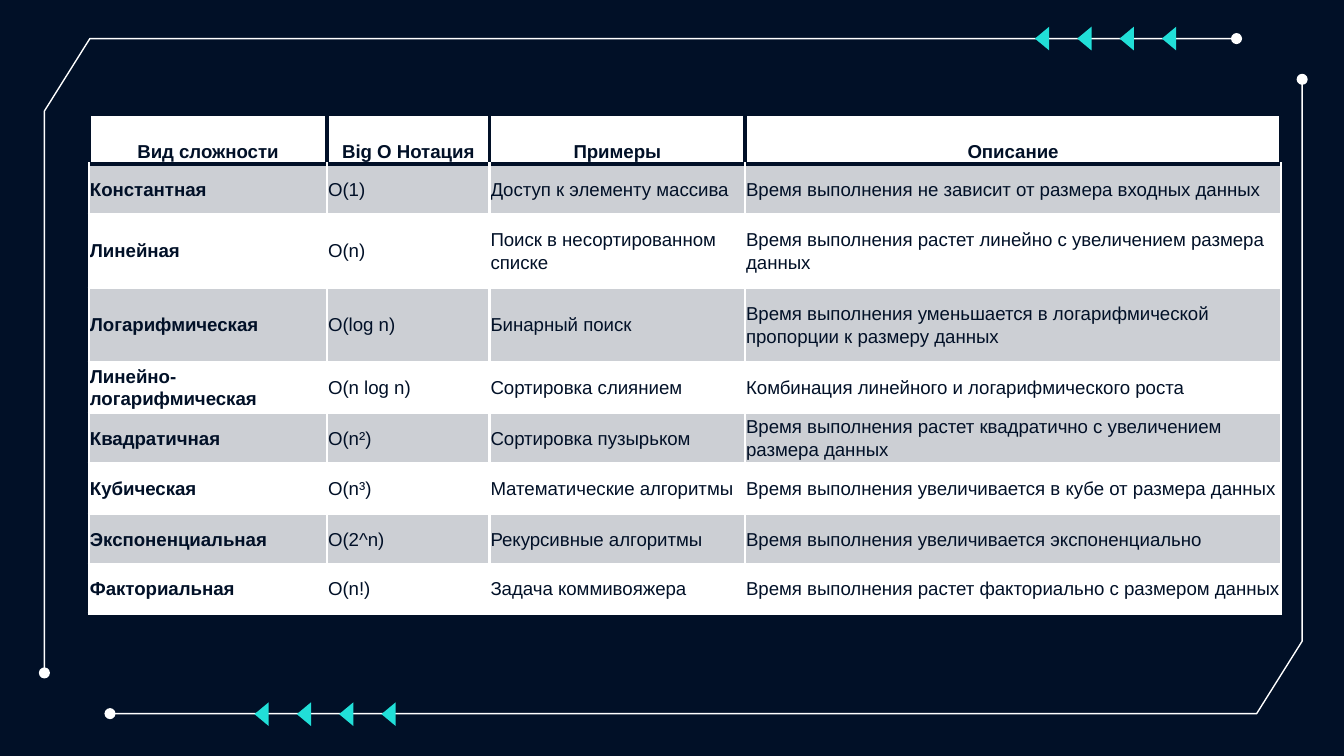
"""Builds a slide with a table of algorithm complexity classes."""
from lxml import etree
from pptx import Presentation
from pptx.dml.color import RGBColor
from pptx.enum.text import MSO_ANCHOR, PP_ALIGN
from pptx.oxml.ns import qn
from pptx.util import Cm, Pt

CENTER, LEFT = PP_ALIGN.CENTER, PP_ALIGN.LEFT
BOTTOM, MIDDLE = MSO_ANCHOR.BOTTOM, MSO_ANCHOR.MIDDLE

HEADER = ("Вид сложности", "Big O Нотация", "Примеры", "Описание")
ROWS = [
    ("Константная", "O(1)", "Доступ к элементу массива",
     "Время выполнения не зависит от размера входных данных"),
    ("Линейная", "O(n)", "Поиск в несортированном списке",
     "Время выполнения растет линейно с увеличением размера данных"),
    ("Логарифмическая", "O(log n)", "Бинарный поиск",
     "Время выполнения уменьшается в логарифмической пропорции к размеру данных"),
    ("Линейно-логарифмическая", "O(n log n)", "Сортировка слиянием",
     "Комбинация линейного и логарифмического роста"),
    ("Квадратичная", "O(n²)", "Сортировка пузырьком",
     "Время выполнения растет квадратично с увеличением размера данных"),
    ("Кубическая", "O(n³)", "Математические алгоритмы",
     "Время выполнения увеличивается в кубе от размера данных"),
    ("Экспоненциальная", "O(2^n)", "Рекурсивные алгоритмы",
     "Время выполнения увеличивается экспоненциально"),
    ("Факториальная", "O(n!)", "Задача коммивояжера",
     "Время выполнения растет факториально с размером данных"),
]

THEME = {"font": "Arial", "size": 10, "dark": "011027", "light": "FFFFFF",
         "band": "CCCFD4", "accent": "21DFD8", "frame": 0.75,
         "rule": 1.5, "header_rule": 2.25}

SLIDE_W, SLIDE_H = 25.4, 14.29
TABLE_LEFT, TABLE_TOP = 1.68, 2.16
COL_WIDTHS = (4.5, 3.07, 4.83, 10.13)
ROW_HEIGHTS = (0.94, 0.94, 1.4, 1.4, 0.97, 0.94, 0.97, 0.94, 0.94)
CELL_INSET = 0.02
FRAME = [(24.61, 1.5), (24.61, 12.12), (23.75, 13.49), (2.08, 13.49)]
TURN_X, TURN_Y = 25.45, 14.22
ARROW_ROWS = [(4.81, 13.5), (19.56, 0.73)]
ARROW_W, ARROW_H, ARROW_STEP, ARROW_COUNT = 0.27, 0.45, 0.8, 4


def rgb(name):
    return RGBColor.from_string(THEME[name])


def add_outline(s, points, close):
    (x, y), *rest = [(Cm(x), Cm(y)) for x, y in points]
    builder = s.shapes.build_freeform(x, y)
    builder.add_line_segments(rest, close=close)
    sp = builder.convert_to_shape()
    sp.shadow.inherit = False
    return sp


def add_frame(s, points):
    sp = add_outline(s, points, False)
    sp.fill.background()
    sp.line.color.rgb = rgb("light")
    sp.line.width = Pt(THEME["frame"])
    ln = sp.line._get_or_add_ln()
    for end in ("a:headEnd", "a:tailEnd"):
        etree.SubElement(ln, qn(end), type="oval")


def add_arrow(s, x, y):
    right, half = x + ARROW_W, ARROW_H / 2
    sp = add_outline(s, [(right, y + half), (right, y - half), (x, y)], True)
    sp.fill.solid()
    sp.fill.fore_color.rgb = rgb("accent")
    sp.line.fill.background()


def set_text(cell, text, bold=False, align=LEFT, anchor=MIDDLE):
    cell.vertical_anchor = anchor
    cell.margin_left = cell.margin_right = Cm(CELL_INSET)
    cell.margin_top = cell.margin_bottom = Cm(CELL_INSET)
    p = cell.text_frame.paragraphs[0]
    p.alignment = align
    p.line_spacing = 1.07
    p.space_after = Pt(8)
    r = p.add_run()
    r.text = text
    r.font.name = THEME["font"]
    r.font.size = Pt(THEME["size"])
    r.font.bold = bold
    r.font.color.rgb = rgb("dark")


def set_borders(cell, borders):
    tc_pr = cell._tc.get_or_add_tcPr()
    for i, (side, (color, width)) in enumerate(borders.items()):
        ln = etree.Element(qn(f"a:ln{side}"), w=str(Pt(width)))
        fill = etree.SubElement(ln, qn("a:solidFill"))
        etree.SubElement(fill, qn("a:srgbClr"), val=THEME[color])
        tc_pr.insert(i, ln)


def add_complexity_table(s):
    table = s.shapes.add_table(
        len(ROWS) + 1, len(HEADER), Cm(TABLE_LEFT), Cm(TABLE_TOP),
        Cm(sum(COL_WIDTHS)), Cm(sum(ROW_HEIGHTS))).table
    for col, width in zip(table.columns, COL_WIDTHS):
        col.width = Cm(width)
    for row, height in zip(table.rows, ROW_HEIGHTS):
        row.height = Cm(height)
    header_rule = ("dark", THEME["header_rule"])
    for i, texts in enumerate([HEADER, *ROWS]):
        for j, text in enumerate(texts):
            cell = table.cell(i, j)
            if i == 0:
                set_text(cell, text, bold=True, align=CENTER, anchor=BOTTOM)
            else:
                set_text(cell, text, bold=j == 0)
            cell.fill.solid()
            cell.fill.fore_color.rgb = rgb("band" if i % 2 else "light")
            rule = ("light", THEME["rule"]) if i else header_rule
            borders = dict.fromkeys("LRTB", rule)
            if i == 1:
                borders["T"] = header_rule
            set_borders(cell, borders)


def main():
    prs = Presentation()
    prs.slide_width, prs.slide_height = Cm(SLIDE_W), Cm(SLIDE_H)
    s = prs.slides.add_slide(prs.slide_layouts[6])
    s.background.fill.solid()
    s.background.fill.fore_color.rgb = rgb("dark")
    add_frame(s, FRAME)
    add_frame(s, [(TURN_X - x, TURN_Y - y) for x, y in FRAME])
    for left, y in ARROW_ROWS:
        for i in range(ARROW_COUNT):
            add_arrow(s, left + i * ARROW_STEP, y)
    add_complexity_table(s)
    prs.save("out.pptx")


if __name__ == "__main__":
    main()
